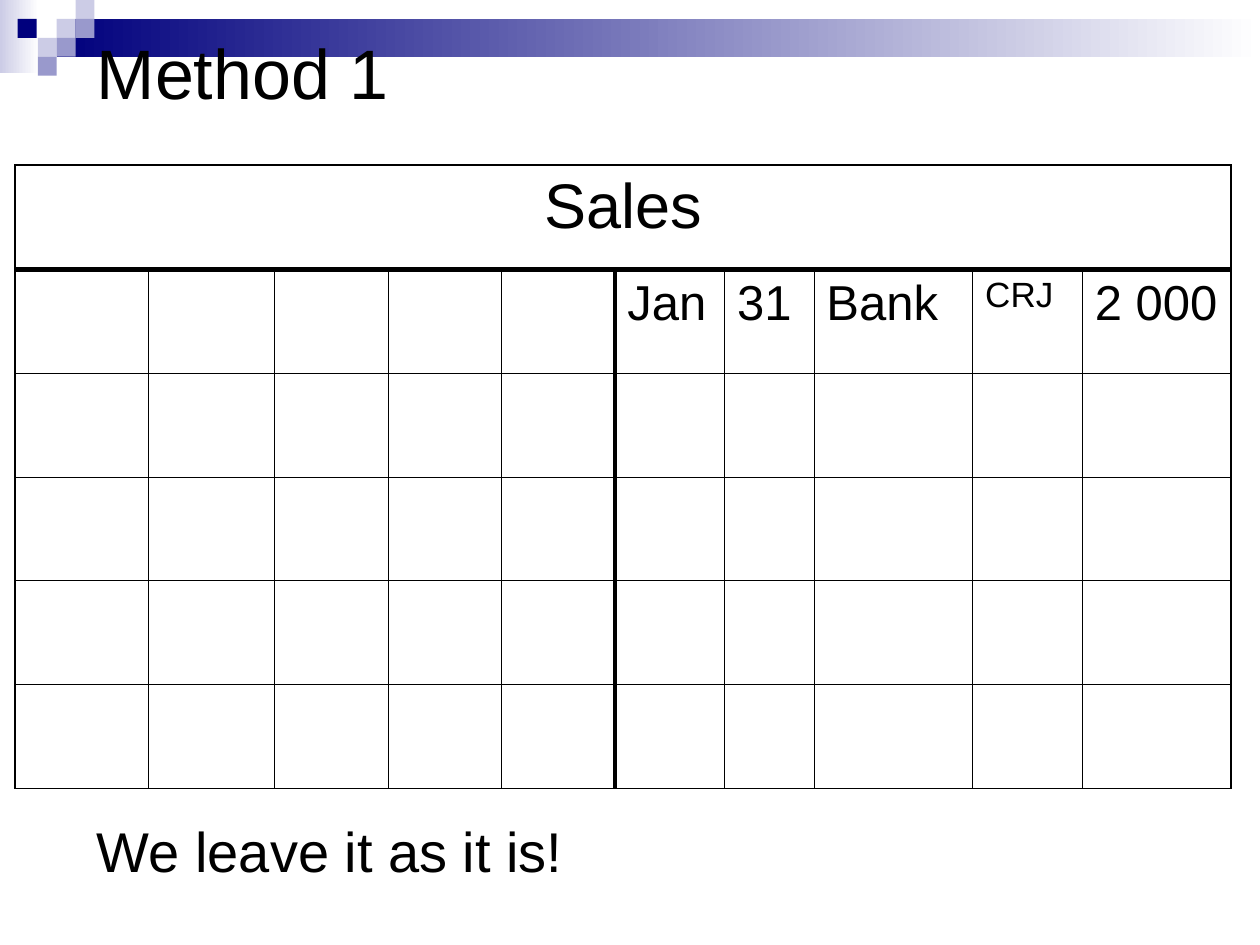
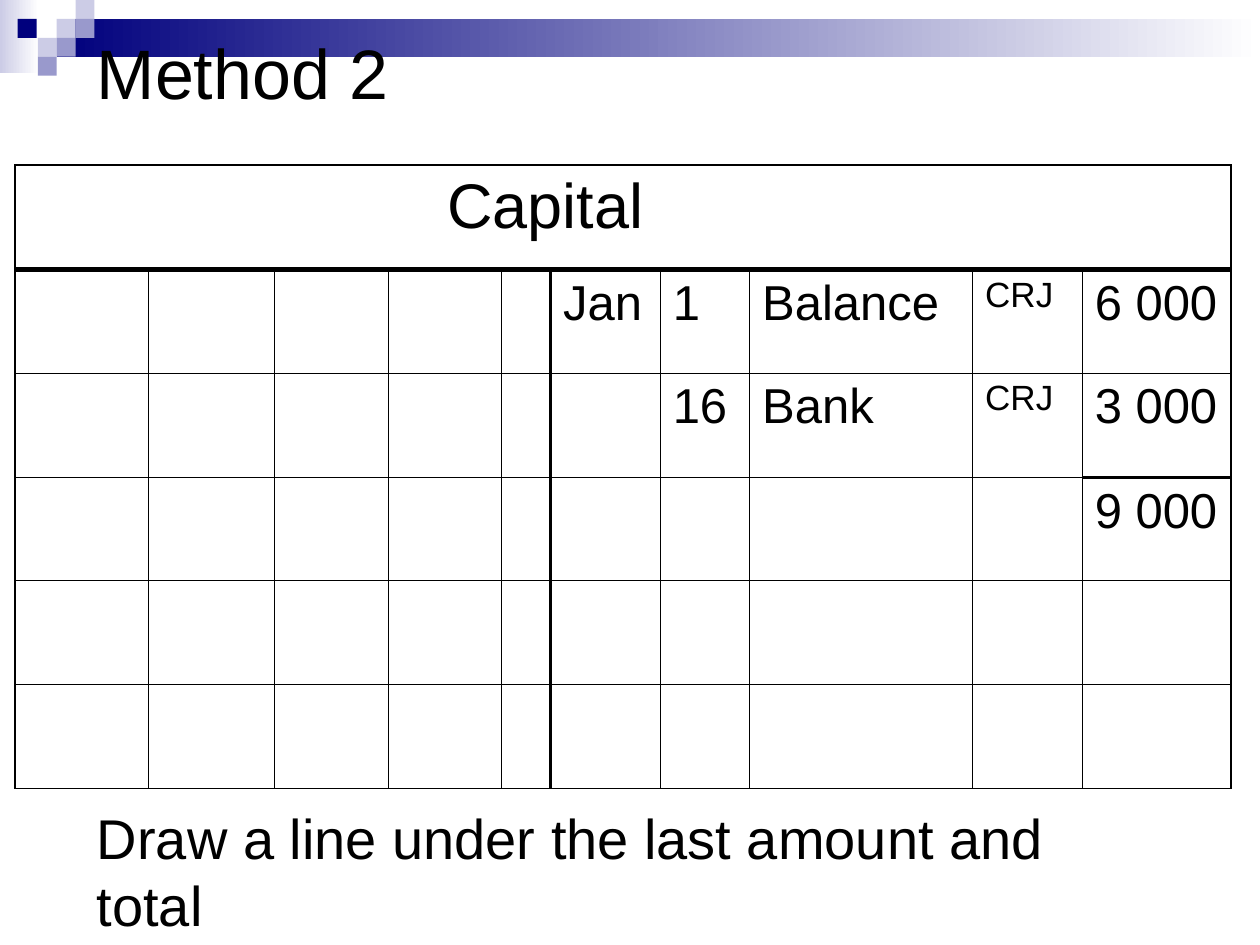
from lxml.etree import SubElement
from pptx import Presentation
from pptx.dml.color import RGBColor
from pptx.enum.shapes import MSO_SHAPE as Shape
from pptx.enum.text import MSO_ANCHOR as Anchor, PP_ALIGN as Align
from pptx.oxml.ns import qn
from pptx.util import Inches, Pt

# Content: entries list the credit side of each ledger row
ACCOUNTS = [
    {
        "title": "Method 1",
        "account": "Sales",
        "account_indent": None,  # centred
        "columns": [1.06, 1, 0.9, 0.9, 0.9, 0.87, 0.71, 1.26, 0.87, 1.18],
        "entries": {1: ["Jan", "31", "Bank", "CRJ", "2 000"]},
        "total_row": None,
        "caption": "We leave it as it is!",
        "caption_box": (0.67, 6.43, 8.51, 0.64),
    },
    {
        "title": "Method 2",
        "account": "Capital",
        "account_indent": 3.33,
        "columns": [1.06, 1, 0.9, 0.9, 0.39, 0.87, 0.71, 1.77, 0.87, 1.18],
        "entries": {
            1: ["Jan", "1", "Balance", "CRJ", "6 000"],
            2: ["", "16", "Bank", "CRJ", "3 000"],
            3: ["", "", "", "", "9 000"],
        },
        "total_row": 3,
        "caption": "Draw a line under the last amount and total",
        "caption_box": (0.67, 6.33, 8.51, 1.17),
    },
]

# Shared style
FONT, BLACK = "Arial", "000000"
NAVY, LILAC, PALE, WHITE = "00007D", "9999CC", "CCCCE6", "FFFFFF"
TITLE_BOX = (0.67, 0.21, 9, 0.71)
TABLE_LEFT, TABLE_TOP = 0.12, 1.31
ROW_HEIGHTS = [0.83, 0.82, 0.83, 0.82, 0.82, 0.83]
CREDIT_START = 5  # first column of the right-hand side
REFERENCE_COLUMN = 8
THIN, FRAME, DIVIDER, HEADING_RULE = 0.45, 1.08, 2.21, 3

FADING_BANDS = [((0, 0, 0.31, 0.58), PALE), ((0.45, 0.15, 9.55, 0.3), NAVY)]
SQUARE = 0.15
SQUARES = [
    (0.45, 0.15, PALE), (0.6, 0, PALE), (0.6, 0.15, LILAC), (0.3, 0.3, PALE),
    (0.14, 0.15, NAVY), (0.45, 0.3, LILAC), (0.3, 0.45, LILAC),
]


def color(value):
    return RGBColor.from_string(value)


def add_rectangle(page, place):
    box = page.shapes.add_shape(Shape.RECTANGLE, *map(Inches, place))
    box.shadow.inherit = False
    box.line.fill.background()
    return box


def add_header_band(page):
    for place, start in FADING_BANDS:
        fill = add_rectangle(page, place).fill
        fill.gradient()
        fill.gradient_angle = 0
        for stop, value, position in zip(fill.gradient_stops, (start, WHITE), (0, 1)):
            stop.color.rgb = color(value)
            stop.position = position
    for left, top, value in SQUARES:
        fill = add_rectangle(page, (left, top, SQUARE, SQUARE)).fill
        fill.solid()
        fill.fore_color.rgb = color(value)


def write(frame, text, size):
    para = frame.paragraphs[0]
    para.text = text
    para.font.name = FONT
    para.font.size = Pt(size)
    para.font.color.rgb = color(BLACK)
    return para


def add_text(page, place, text, size):
    frame = page.shapes.add_textbox(*map(Inches, place)).text_frame
    frame.word_wrap = True
    write(frame, text, size)
    return frame


def horizontal_rule(edge, column, account):
    """Width of the line above row number `edge`."""
    if edge in (0, len(ROW_HEIGHTS)):
        return FRAME
    if edge == 1:
        return HEADING_RULE
    last_column = len(account["columns"]) - 1
    return DIVIDER if (edge, column) == (account["total_row"], last_column) else THIN


def vertical_rule(edge, row, account):
    """Width of the line left of column number `edge`."""
    if row == 0 or edge in (0, len(account["columns"])):
        return FRAME
    return DIVIDER if edge == CREDIT_START else THIN


def set_borders(cell, row, column, account):
    widths = {
        "a:lnL": vertical_rule(column, row, account),
        "a:lnR": vertical_rule(column + 1, row, account),
        "a:lnT": horizontal_rule(row, column, account),
        "a:lnB": horizontal_rule(row + 1, column, account),
    }
    properties = cell._tc.get_or_add_tcPr()
    for name, width in widths.items():
        line = SubElement(properties, qn(name), w=str(Pt(width)))
        SubElement(SubElement(line, qn("a:solidFill")), qn("a:srgbClr"), val=BLACK)
    cell.fill.background()


def add_ledger(page, account):
    columns = account["columns"]
    table = page.shapes.add_table(
        len(ROW_HEIGHTS), len(columns), Inches(TABLE_LEFT), Inches(TABLE_TOP),
        Inches(sum(columns)), Inches(sum(ROW_HEIGHTS))).table
    table.first_row = table.horz_banding = False
    for column, width in zip(table.columns, columns):
        column.width = Inches(width)
    for row, height in zip(table.rows, ROW_HEIGHTS):
        row.height = Inches(height)

    # Account name across the top
    heading = table.cell(0, 0)
    heading.merge(table.cell(0, len(columns) - 1))
    para = write(heading.text_frame, account["account"], 36)
    if account["account_indent"] is None:
        para.alignment = Align.CENTER
    else:
        properties = para._p.get_or_add_pPr()
        properties.set("marL", str(Inches(account["account_indent"])))
        properties.set("indent", "0")

    # Entries on the credit side
    for row, texts in account["entries"].items():
        for column, text in enumerate(texts, CREDIT_START):
            if text:
                size = 20 if column == REFERENCE_COLUMN else 28
                write(table.cell(row, column).text_frame, text, size)

    # Rules
    for row in range(len(ROW_HEIGHTS)):
        for column in range(len(columns)):
            cell = table.cell(row, column)
            if not cell.is_spanned:
                set_borders(cell, row, column, account)


def main():
    deck = Presentation()
    deck.slide_width, deck.slide_height = Inches(10), Inches(7.5)
    for account in ACCOUNTS:
        page = deck.slides.add_slide(deck.slide_layouts[6])
        add_header_band(page)
        title = add_text(page, TITLE_BOX, account["title"], 40)
        title.vertical_anchor = Anchor.MIDDLE
        add_ledger(page, account)
        add_text(page, account["caption_box"], account["caption"], 32)
    deck.save("out.pptx")


if __name__ == "__main__":
    main()
